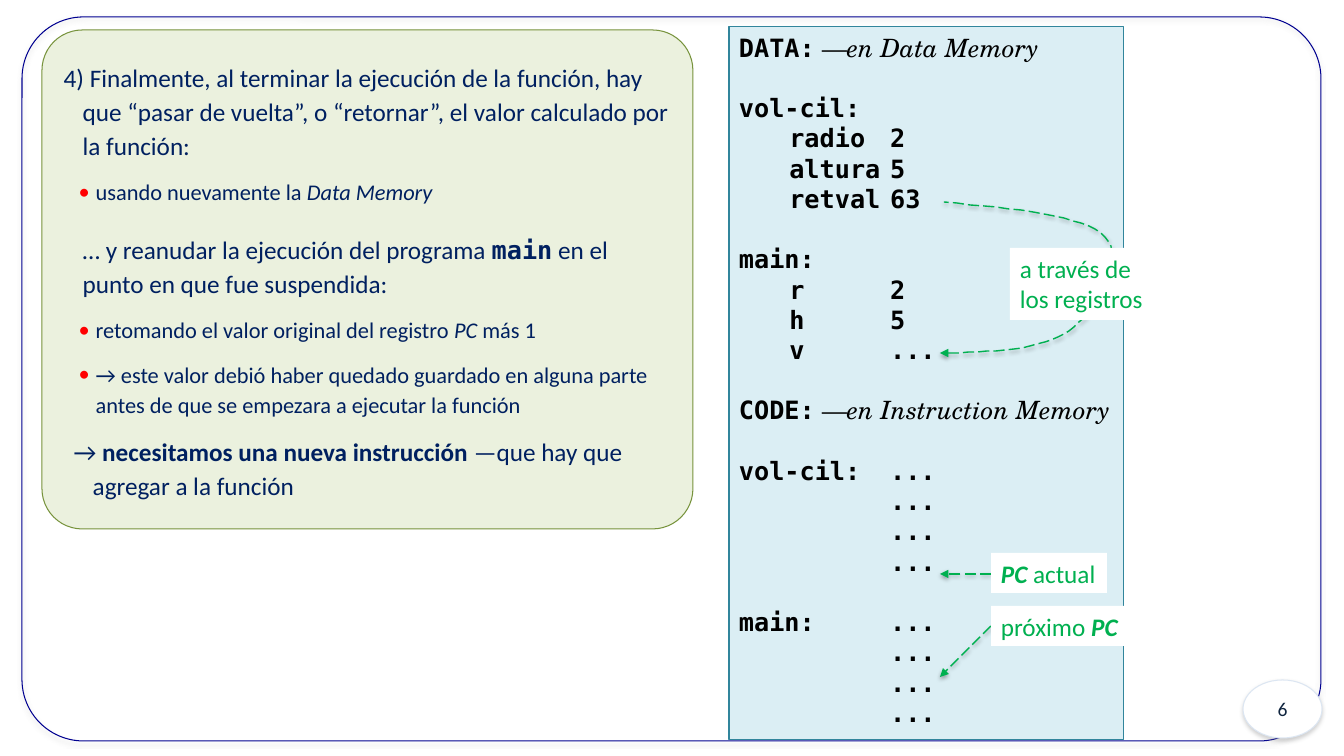
from dataclasses import dataclass, field

from lxml import etree
from pptx import Presentation
from pptx.dml.color import RGBColor
from pptx.enum.dml import MSO_LINE
from pptx.enum.shapes import MSO_CONNECTOR, MSO_SHAPE
from pptx.enum.text import MSO_ANCHOR, PP_ALIGN
from pptx.oxml.ns import qn
from pptx.util import Emu, Pt

RECT, ROUND, OVAL = MSO_SHAPE.RECTANGLE, MSO_SHAPE.ROUNDED_RECTANGLE, MSO_SHAPE.OVAL
TOP, MIDDLE = MSO_ANCHOR.TOP, MSO_ANCHOR.MIDDLE
LEFT, CENTER = PP_ALIGN.LEFT, PP_ALIGN.CENTER
STRAIGHT, LONG_DASH = MSO_CONNECTOR.STRAIGHT, MSO_LINE.LONG_DASH

COLORS = {
    "frame": "000090", "white": "FFFFFF", "badge_line": "DCE6F2", "badge_text": "10253F",
    "steps": "EBF1DE", "steps_line": "77933C", "steps_text": "002060", "bullet": "FF0000",
    "memory": "DBEEF4", "memory_line": "31859C", "black": "000000", "green": "00B050",
    "gray": "808080",
}
SANS, MONO, SERIF = "Calibri", "DejaVu Sans Mono", "TeX Gyre Schola"
EMU_PER_PX = 914400 / 100.8
BOLD_MONO = {"name": MONO, "bold": True}


@dataclass
class Run:
    text: str
    fmt: dict = field(default_factory=dict)


@dataclass
class Para:
    runs: list[Run]
    size: int = 18
    before: float = 0
    margin: int = 0
    indent: int = 0
    bullet: bool = False
    spacing: float | None = None
    tabs: tuple[int, ...] = ()
    align: PP_ALIGN = LEFT


@dataclass
class Box:
    kind: MSO_SHAPE
    at: tuple[int, int, int, int]
    fill: str | None
    line: str | None = None
    adj: float | None = None
    shadow: str | None = None
    color: str = "black"
    paras: list[Para] = field(default_factory=list)
    anchor: MSO_ANCHOR = TOP
    wrap: bool = True


def px(n: float) -> Emu:
    return Emu(round(n * EMU_PER_PX))


def rgb(name: str) -> RGBColor:
    return RGBColor.from_string(COLORS[name])


def add_effects(sp, shadow: str | None) -> None:
    """Give the object an effect list: empty, or with a soft shadow below."""
    pr = sp._element.spPr
    for old in pr.findall(qn("a:effectLst")):
        pr.remove(old)
    effects = etree.SubElement(pr, qn("a:effectLst"))
    if shadow:
        outer = etree.SubElement(effects, qn("a:outerShdw"), blurRad=str(Pt(3.1)),
                                 dist=str(Pt(1.8)), dir="5400000", rotWithShape="0")
        color = etree.SubElement(outer, qn("a:srgbClr"), val=COLORS[shadow])
        etree.SubElement(color, qn("a:alpha"), val="35000")


def write_para(p, para: Para, color: str) -> None:
    pPr = p._p.get_or_add_pPr()
    pPr.set("marL", str(px(para.margin)))
    pPr.set("indent", str(px(para.indent)))
    if para.bullet:
        pPr.set("lvl", "1")
        bu_color = etree.SubElement(pPr, qn("a:buClr"))
        etree.SubElement(bu_color, qn("a:srgbClr"), val=COLORS["bullet"])
        etree.SubElement(pPr, qn("a:buFont"), typeface=SANS)
        etree.SubElement(pPr, qn("a:buChar"), char="•")
    else:
        etree.SubElement(pPr, qn("a:buNone"))
    if para.tabs:
        tabs = etree.SubElement(pPr, qn("a:tabLst"))
        for pos in para.tabs:
            etree.SubElement(tabs, qn("a:tab"), pos=str(px(pos)), algn="l")
    p.alignment = para.align
    p.space_before = Pt(para.before)
    if para.spacing:
        p.line_spacing = para.spacing
    for run in para.runs:
        r = p.add_run()
        r.text = run.text
        for key, value in ({"name": SANS, "size": Pt(para.size)} | run.fmt).items():
            setattr(r.font, key, value)
        r.font.color.rgb = rgb(color)


def add_box(shapes, box: Box) -> None:
    sp = shapes.add_shape(box.kind, *map(px, box.at))
    if box.adj is not None:
        sp.adjustments[0] = box.adj
    if box.fill:
        sp.fill.solid()
        sp.fill.fore_color.rgb = rgb(box.fill)
    else:
        sp.fill.background()
    if box.line:
        sp.line.color.rgb = rgb(box.line)
        sp.line.width = Pt(0.75)
    else:
        sp.line.fill.background()
    add_effects(sp, box.shadow)
    tf = sp.text_frame
    tf.word_wrap, tf.vertical_anchor = box.wrap, box.anchor
    for i, para in enumerate(box.paras):
        write_para(tf.add_paragraph() if i else tf.paragraphs[0], para, box.color)


def style_arrow(sp, end: str) -> None:
    sp.line.color.rgb = rgb("green")
    sp.line.width = Pt(1)
    sp.line.dash_style = LONG_DASH
    etree.SubElement(sp.line._get_or_add_ln(), qn(end), type="triangle")
    add_effects(sp, "black")


def curve_points(start: tuple, curves: list[tuple], steps: int = 16) -> list[tuple]:
    """Sample joined cubic curves, each given as two controls and an end."""
    points = [start]
    for curve in curves:
        nodes = [points[-1], *curve]
        for k in range(1, steps + 1):
            t = k / steps
            weights = ((1 - t) ** 3, 3 * t * (1 - t) ** 2, 3 * t * t * (1 - t), t ** 3)
            points.append(tuple(sum(w * n[axis] for w, n in zip(weights, nodes))
                                for axis in (0, 1)))
    return points


def step(*runs: Run, margin: int = 19, indent: int = -19, before: float = 18) -> Para:
    return Para(list(runs), 18, before, margin, indent, spacing=1.12)


def detail(*runs: Run) -> Para:
    return Para(list(runs), 16, 10.5, 32, -17, True, 1.12)


def code(text: str, note: str = "", gap: bool = False) -> Para:
    runs = [Run(text, BOLD_MONO)]
    if note:
        runs += [Run(" —", {"name": SERIF}), Run(note, {"name": SERIF, "italic": True})]
    return Para(runs, before=21.6 if gap else 0, tabs=(50, 101, 151))


ITALIC, BOLD = {"italic": True}, {"bold": True}
PC = Run("PC", BOLD | ITALIC)

STEPS = [
    step(Run("4) Finalmente, al terminar la ejecución de la función, hay que “pasar de "
             "vuelta”, o “retornar”, el valor calculado por la función:"), before=0),
    detail(Run("usando nuevamente la "), Run("Data Memory", ITALIC)),
    step(Run("… y reanudar la ejecución del programa "), Run("main", BOLD_MONO),
         Run(" en el punto en que fue suspendida:"), indent=0),
    detail(Run("retomando el valor original del registro "), Run("PC", ITALIC), Run(" más 1")),
    detail(Run("→ este valor debió haber quedado guardado en alguna parte antes de que "
               "se empezara a ejecutar la función")),
    step(Run("→ "), Run("necesitamos una nueva instrucción", BOLD),
         Run(" —que hay que agregar a la función"), margin=29, before=10.5),
]
MEMORY = [
    code("DATA:", "en Data Memory"),
    code("vol-cil:", gap=True),
    *map(code, ("\tradio\t2", "\taltura\t5", "\tretval\t63")),
    code("main:", gap=True),
    *map(code, ("\tr\t\t2", "\th\t\t5", "\tv\t\t...")),
    code("CODE:", "en Instruction Memory", gap=True),
    *(code((label if i == 0 else "\t\t\t") + "...", gap=i == 0)
      for label in ("vol-cil:\t", "main:\t\t") for i in range(4)),
]
PANELS = [
    Box(ROUND, (22, 17, 1299, 724), None, "frame", 0.085, "gray"),
    Box(OVAL, (1243, 680, 79, 58), "white", "badge_line", None, "gray", "badge_text",
        [Para([Run("6")], 14, align=CENTER)], MIDDLE),
    Box(ROUND, (42, 30, 651, 499), "steps", "steps_line", 0.081, None, "steps_text",
        STEPS, MIDDLE),
    Box(RECT, (729, 27, 395, 713), "memory", "memory_line", paras=MEMORY),
]
LABELS = [
    ((991, 553, 116, 40), [[PC, Run(" actual")]]),
    ((991, 606, 138, 40), [[Run("próximo "), PC]]),
    ((1010, 248, 144, 72), [[Run("a través de")], [Run("los registros")]]),
]
ARROWS = [(991, 574, 940, 574), (991, 626, 940, 677)]
RETURN_START = (940, 353)
RETURN_CURVES = [
    ((991, 352), (1042, 350), (1069, 331)),
    ((1097, 311), (1126, 258), (1105, 237)),
    ((1085, 215), (1015, 209), (944, 202)),
]


def main() -> None:
    prs = Presentation()
    prs.slide_width, prs.slide_height = px(1344), px(756)
    shapes = prs.slides.add_slide(prs.slide_layouts[6]).shapes

    # Frame, page number, explanation and memory listing
    for panel in PANELS:
        add_box(shapes, panel)

    # Return value path and program counter arrows
    first, *rest = curve_points(RETURN_START, RETURN_CURVES)
    builder = shapes.build_freeform(*first, scale=EMU_PER_PX)
    builder.add_line_segments(rest, close=False)
    sp = builder.convert_to_shape()
    sp.fill.background()
    style_arrow(sp, "a:headEnd")
    for ends in ARROWS:
        style_arrow(shapes.add_connector(STRAIGHT, *map(px, ends)), "a:tailEnd")

    # Green labels
    for at, lines in LABELS:
        add_box(shapes, Box(RECT, at, "white", color="green", wrap=False,
                            paras=[Para(runs) for runs in lines]))

    prs.save("out.pptx")


if __name__ == "__main__":
    main()
